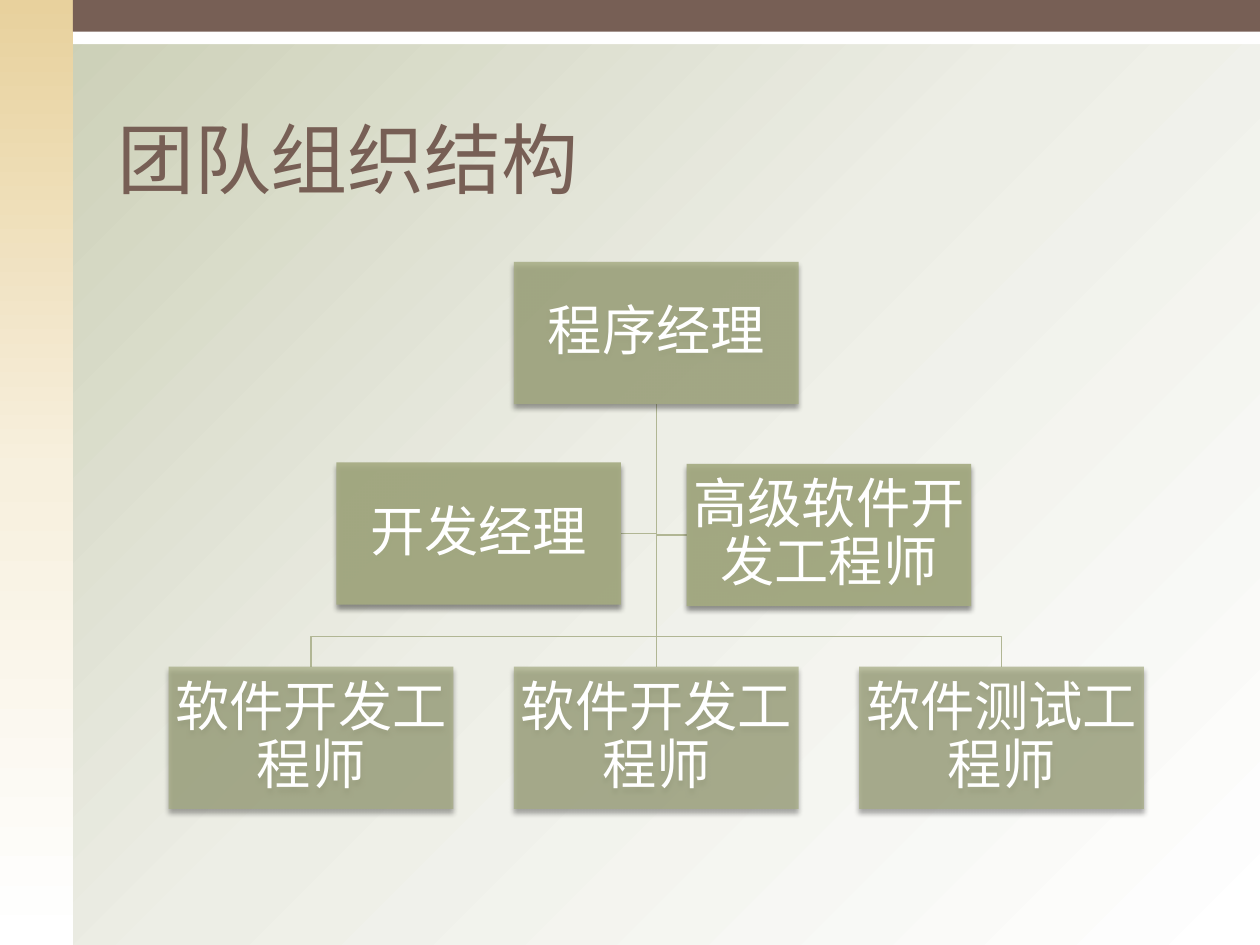
from dataclasses import dataclass

from lxml import etree
from pptx import Presentation
from pptx.dml.color import RGBColor
from pptx.enum.shapes import MSO_CONNECTOR, MSO_SHAPE
from pptx.enum.text import MSO_ANCHOR, PP_ALIGN
from pptx.oxml.ns import qn
from pptx.util import Cm, Pt

RECT = MSO_SHAPE.RECTANGLE
STRAIGHT = MSO_CONNECTOR.STRAIGHT
MIDDLE, BOTTOM = MSO_ANCHOR.MIDDLE, MSO_ANCHOR.BOTTOM
LEFT, CENTER = PP_ALIGN.LEFT, PP_ALIGN.CENTER

WHITE = RGBColor(0xFF, 0xFF, 0xFF)
BLACK = RGBColor(0x00, 0x00, 0x00)
BROWN = RGBColor(0x77, 0x5F, 0x55)
OLIVE = RGBColor(0xA5, 0xAB, 0x81)
RULE = RGBColor(0xB1, 0xB6, 0x94)
SAGE = RGBColor(0xC9, 0xCD, 0xB3)
MIST = RGBColor(0xED, 0xEE, 0xE6)
SAND = RGBColor(0xE8, 0xD1, 0x9D)
CREAM = RGBColor(0xF7, 0xF0, 0xDE)
FONT = "Noto Sans CJK SC"

# Sizes in centimetres
WIDE, HIGH = 25.4, 19.05
SIDE = 1.47
BOX_W, BOX_H = 5.74, 2.87
MID = 13.23
STEP = 6.96
TOP_Y, LOW_Y = 5.28, 13.44
BUS_Y = 12.83


@dataclass
class Role:
    text: str
    left: float
    top: float
    alpha: int

    @property
    def mid_y(self) -> float:
        return self.top + BOX_H / 2


def add_node(parent, tag: str, **attrs):
    return etree.SubElement(parent, qn(tag), {k: str(v) for k, v in attrs.items()})


def set_grad(root, colors: list[RGBColor], angle: int) -> None:
    """Spread the colours evenly over the gradient fill found in root."""
    grad = root.find(".//" + qn("a:gradFill"))
    for child in list(grad):
        grad.remove(child)
    stops = add_node(grad, "a:gsLst")
    for i, color in enumerate(colors):
        stop = add_node(stops, "a:gs", pos=100000 * i // (len(colors) - 1))
        add_node(stop, "a:srgbClr", val=color)
    add_node(grad, "a:lin", ang=angle * 60000, scaled=0)


def add_rect(left: float, top: float, width: float, height: float, color: RGBColor):
    rect = slide.shapes.add_shape(RECT, Cm(left), Cm(top), Cm(width), Cm(height))
    rect.shadow.inherit = False
    rect.fill.solid()
    rect.fill.fore_color.rgb = color
    rect.line.fill.background()
    return rect


def add_text(frame, text: str, size: int, color: RGBColor, align, anchor) -> None:
    frame.word_wrap = True
    frame.vertical_anchor = anchor
    para = frame.paragraphs[0]
    para.alignment = align
    run = para.add_run()
    run.text = text
    run.font.size = Pt(size)
    run.font.color.rgb = color
    run.font.name = FONT
    add_node(run.font._element, "a:ea", typeface=FONT)


def add_role(role: Role) -> None:
    box = add_rect(role.left, role.top, BOX_W, BOX_H, OLIVE)
    props = box._element.spPr
    tint = props.find(qn("a:solidFill") + "/" + qn("a:srgbClr"))
    add_node(tint, "a:alpha", val=role.alpha * 1000)
    shade = add_node(props.find(qn("a:effectLst")), "a:outerShdw", blurRad=Pt(3),
                     dist=Pt(2.4), dir=90 * 60000, algn="ctr", rotWithShape=0)
    add_node(add_node(shade, "a:srgbClr", val=BLACK), "a:alpha", val=45000)
    frame = box.text_frame
    frame.margin_left = frame.margin_right = Cm(0.05)
    frame.margin_top = frame.margin_bottom = Cm(0.05)
    add_text(frame, role.text, 31, WHITE, CENTER, MIDDLE)
    frame.paragraphs[0].line_spacing = 0.9


def add_link(*points: tuple[float, float]) -> None:
    """Join the points with a thin line, bent where there are more than two."""
    spots = [(Cm(x), Cm(y)) for x, y in points]
    if len(spots) == 2:
        link = slide.shapes.add_connector(STRAIGHT, *spots[0], *spots[1])
        add_node(link._element.spPr, "a:effectLst")
    else:
        path = slide.shapes.build_freeform(*spots[0])
        path.add_line_segments(spots[1:], close=False)
        link = path.convert_to_shape()
        link.shadow.inherit = False
        link.fill.background()
    link.line.color.rgb = RULE
    link.line.width = Pt(0.79)


prs = Presentation()
prs.slide_width, prs.slide_height = Cm(WIDE), Cm(HIGH)
slide = prs.slides.add_slide(prs.slide_layouts[6])

# Background and edge bars
slide.background.fill.gradient()
set_grad(slide.element, [SAGE, MIST, WHITE], 45)
add_rect(0, 0, WIDE, 0.89, WHITE)
side = add_rect(0, 0, SIDE, HIGH, SAND)
side.fill.gradient()
set_grad(side._element, [SAND, CREAM, WHITE], 90)
add_rect(SIDE, 0, WIDE - SIDE, 0.64, BROWN)

# Roles by level
col = MID - BOX_W / 2
boss = Role("程序经理", col, TOP_Y, 80)
aides = [Role("开发经理", 6.78, 9.32, 90),
         Role("高级软件开发工程师", 13.84, 9.35, 90)]
names = ["软件开发工程师", "软件开发工程师", "软件测试工程师"]
staff = [Role(name, col + (i - 1) * STEP, LOW_Y, 70) for i, name in enumerate(names)]

# Links run behind the boxes
start = (MID, TOP_Y + BOX_H)
for aide in aides:
    edge = aide.left if aide.left > MID else aide.left + BOX_W
    add_link(start, (MID, aide.mid_y), (edge, aide.mid_y))
for i in range(len(staff)):
    x = MID + (i - 1) * STEP
    bend = [] if x == MID else [(MID, BUS_Y), (x, BUS_Y)]
    add_link(start, *bend, (x, LOW_Y))

for role in [boss, *staff, *aides]:
    add_role(role)

# Title
title = slide.shapes.add_textbox(Cm(2.11), Cm(1.06), Cm(22.23), Cm(3.18))
add_text(title.text_frame, "团队组织结构", 44, BROWN, LEFT, BOTTOM)

prs.save("out.pptx")
